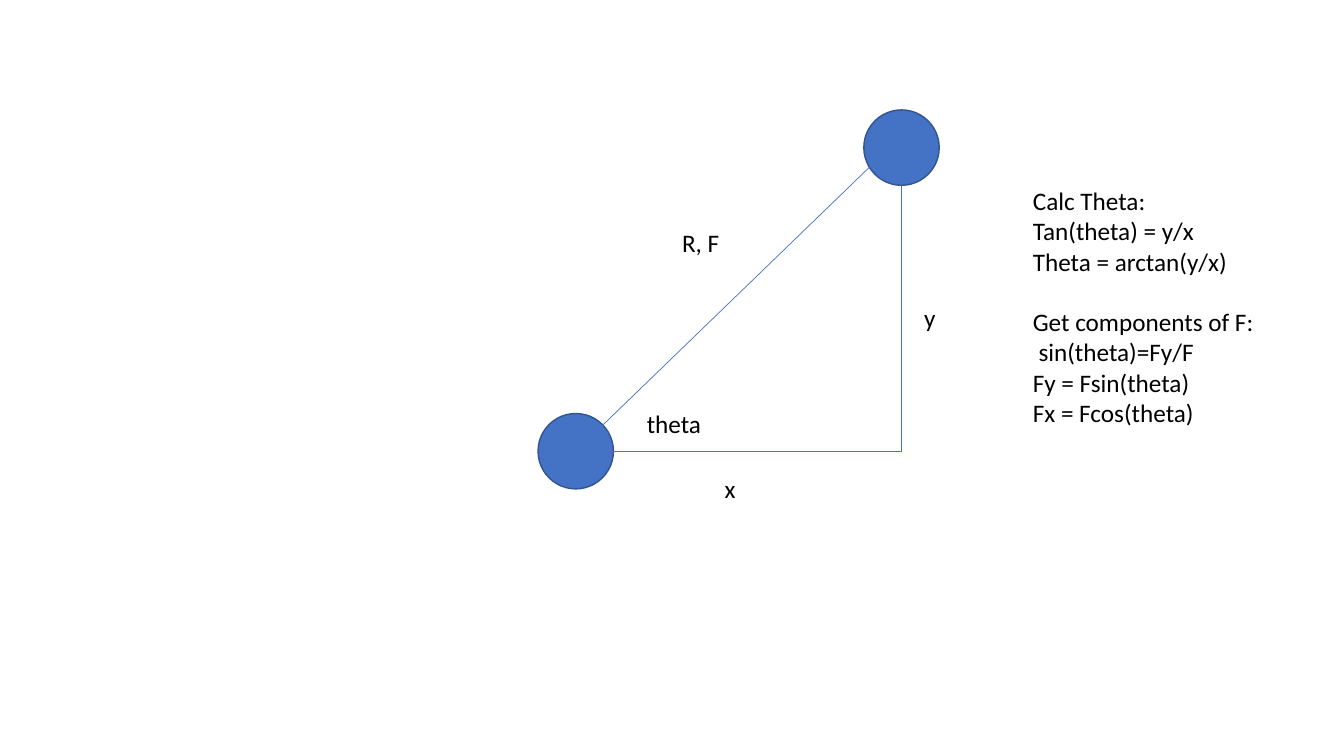
from lxml import etree
from pptx import Presentation
from pptx.dml.color import RGBColor
from pptx.enum.shapes import MSO_CONNECTOR, MSO_SHAPE
from pptx.oxml.ns import qn
from pptx.util import Cm, Pt

ELLIPSE = MSO_SHAPE.OVAL
STRAIGHT = MSO_CONNECTOR.STRAIGHT

BLUE = RGBColor(0x44, 0x72, 0xC4)
DARK_BLUE = RGBColor(0x32, 0x54, 0x91)
BLACK = RGBColor(0, 0, 0)

FONT = "Calibri"
FONT_SIZE = Pt(18)
SECTION_GAP = Pt(21.6)
RADIUS = 0.95
LABEL_HEIGHT = 1.02

LABELS = [
    ("R, F", 3.38, 2.84, 1.52),
    ("y", 9.48, 4.72, 1.52),
    ("x", 4.45, 9.04, 1.52),
    ("theta", 2.49, 7.39, 2.74),
]
FORMULA_SECTIONS = [
    ["Calc Theta:", "Tan(theta) = y/x", "Theta = arctan(y/x)"],
    ["Get components of F:", " sin(theta)=Fy/F", "Fy = Fsin(theta)", "Fx = Fcos(theta)"],
]


def add_text(slide, left, top, width, height, sections):
    box = slide.shapes.add_textbox(Cm(left), Cm(top), Cm(width), Cm(height))
    frame = box.text_frame
    frame.word_wrap = True
    paragraph = frame.paragraphs[0]
    for section_index, lines in enumerate(sections):
        for line_index, line in enumerate(lines):
            if section_index or line_index:
                paragraph = frame.add_paragraph()
            if section_index and not line_index:
                paragraph.space_before = SECTION_GAP
            run = paragraph.add_run()
            run.text = line
            run.font.name = FONT
            run.font.size = FONT_SIZE
            run.font.color.rgb = BLACK


def add_body(slide, center_x, center_y):
    shape = slide.shapes.add_shape(
        ELLIPSE, Cm(center_x - RADIUS), Cm(center_y - RADIUS), Cm(2 * RADIUS), Cm(2 * RADIUS)
    )
    shape.shadow.inherit = False
    shape.fill.solid()
    shape.fill.fore_color.rgb = BLUE
    shape.line.color.rgb = DARK_BLUE
    shape.line.width = Pt(1)


def add_side(slide, start, end):
    connector = slide.shapes.add_connector(
        STRAIGHT, Cm(start[0]), Cm(start[1]), Cm(end[0]), Cm(end[1])
    )
    connector.line.color.rgb = BLUE
    connector.line.width = Pt(0.5)
    etree.SubElement(connector._element.spPr, qn("a:effectLst"))


def draw_triangle(slide, left, top, width, height):
    near_x, far_x = left + RADIUS, left + width - RADIUS
    upper_y, lower_y = top + RADIUS, top + height - RADIUS
    corner = (far_x, lower_y)

    add_body(slide, near_x, lower_y)
    add_body(slide, far_x, upper_y)
    add_side(slide, (near_x, lower_y), (far_x - 0.65, upper_y + 0.34))
    add_side(slide, (near_x + RADIUS, lower_y), corner)
    add_side(slide, corner, (far_x, upper_y + RADIUS))
    for text, offset_x, offset_y, label_width in LABELS:
        add_text(slide, left + offset_x, top + offset_y, label_width, LABEL_HEIGHT, [[text]])


def draw_formulas(slide, left, top, width, height):
    add_text(slide, left, top, width, height, FORMULA_SECTIONS)


presentation = Presentation()
presentation.slide_width = Cm(33.87)
presentation.slide_height = Cm(19.05)
slide = presentation.slides.add_slide(presentation.slide_layouts[6])
draw_triangle(slide, 13.56, 2.77, 10.11, 9.55)
draw_formulas(slide, 25.78, 4.55, 7.26, 6.4)
presentation.save("out.pptx")
